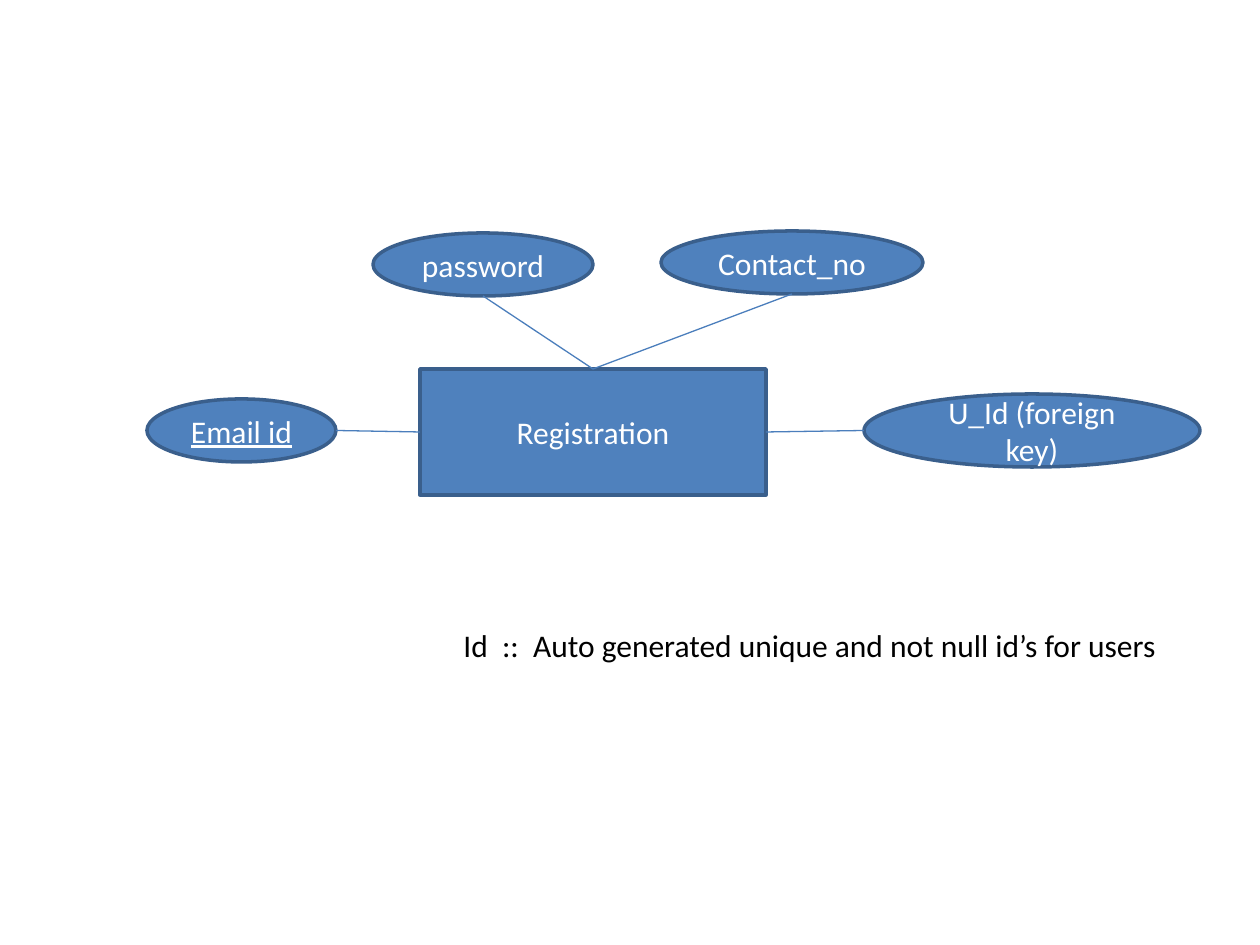
"""Build a slide with an entity diagram of the registration record."""
import pptx
import pptx.dml.color
import pptx.enum.shapes
import pptx.enum.text
import pptx.util
from lxml import etree

EMU_PER_PX = 914400 / 126
SLIDE_SIZE = (1260, 945)
THEME = {
    "font": "Calibri", "size": 18, "fill": "4F81BD", "outline": "3A5F8C",
    "outline_width": 2, "link": "4B7EBC", "link_width": 0.75,
    "label": "FFFFFF", "note": "000000",
}
ENTITY = {"text": "Registration", "box": (420, 369, 346, 126)}
ATTRIBUTES = [
    {"text": "U_Id (foreign key)", "box": (864, 394, 336, 73), "side": "left", "joins": "right"},
    {"text": "Email id", "box": (147, 399, 189, 63), "side": "right", "joins": "left", "key": True},
    {"text": "password", "box": (373, 233, 220, 63), "side": "bottom", "joins": "top"},
    {"text": "Contact_no", "box": (661, 231, 262, 63), "side": "bottom", "joins": "top"},
]
NOTE = {"text": "Id  ::  Auto generated unique and not null id’s for users", "box": (451, 620, 735, 50)}
SIDES = {"top": (0.5, 0), "left": (0, 0.5), "bottom": (0.5, 1), "right": (1, 0.5)}
ENTITY_SITES = {"top": 0, "left": 1, "bottom": 2, "right": 3}


def emu(*lengths):
    return [pptx.util.Emu(round(length * EMU_PER_PX)) for length in lengths]


def color(name):
    return pptx.dml.color.RGBColor.from_string(THEME[name])


def add_text(shape, text, color_name, underline=False):
    run = shape.text_frame.paragraphs[0].add_run()
    run.text = text
    run.font.name = THEME["font"]
    run.font.size = pptx.util.Pt(THEME["size"])
    run.font.color.rgb = color(color_name)
    if underline:
        run.font.underline = True


def add_node(shapes, kind, node):
    shape = shapes.add_shape(kind, *emu(*node["box"]))
    shape.shadow.inherit = False
    shape.fill.solid()
    shape.fill.fore_color.rgb = color("fill")
    shape.line.color.rgb = color("outline")
    shape.line.width = pptx.util.Pt(THEME["outline_width"])
    shape.text_frame.word_wrap = True
    shape.text_frame.vertical_anchor = pptx.enum.text.MSO_ANCHOR.MIDDLE
    shape.text_frame.paragraphs[0].alignment = pptx.enum.text.PP_ALIGN.CENTER
    add_text(shape, node["text"], "label", node.get("key", False))
    return shape


def side_point(box, side):
    left, top, width, height = box
    across, down = SIDES[side]
    return left + width * across, top + height * down


def add_link(shapes, attribute, entity_shape):
    start = side_point(attribute["box"], attribute["side"])
    end = side_point(ENTITY["box"], attribute["joins"])
    link = shapes.add_connector(pptx.enum.shapes.MSO_CONNECTOR.STRAIGHT, *emu(*start, *end))
    link.end_connect(entity_shape, ENTITY_SITES[attribute["joins"]])
    link.line.color.rgb = color("link")
    link.line.width = pptx.util.Pt(THEME["link_width"])
    properties = link._element.spPr
    etree.SubElement(properties, pptx.oxml.ns.qn("a:effectLst"))


def add_note(shapes):
    note = shapes.add_textbox(*emu(*NOTE["box"]))
    note.text_frame.word_wrap = False
    note.text_frame.auto_size = pptx.enum.text.MSO_AUTO_SIZE.SHAPE_TO_FIT_TEXT
    add_text(note, NOTE["text"], "note")


def main():
    presentation = pptx.Presentation()
    presentation.slide_width, presentation.slide_height = emu(*SLIDE_SIZE)
    slide = presentation.slides.add_slide(presentation.slide_layouts[6])
    diagram = slide.shapes.add_group_shape().shapes
    entity_shape = add_node(diagram, pptx.enum.shapes.MSO_SHAPE.RECTANGLE, ENTITY)
    for attribute in ATTRIBUTES:
        add_node(diagram, pptx.enum.shapes.MSO_SHAPE.OVAL, attribute)
    for attribute in ATTRIBUTES:
        add_link(diagram, attribute, entity_shape)
    add_note(slide.shapes)
    presentation.save("out.pptx")


if __name__ == "__main__":
    main()
